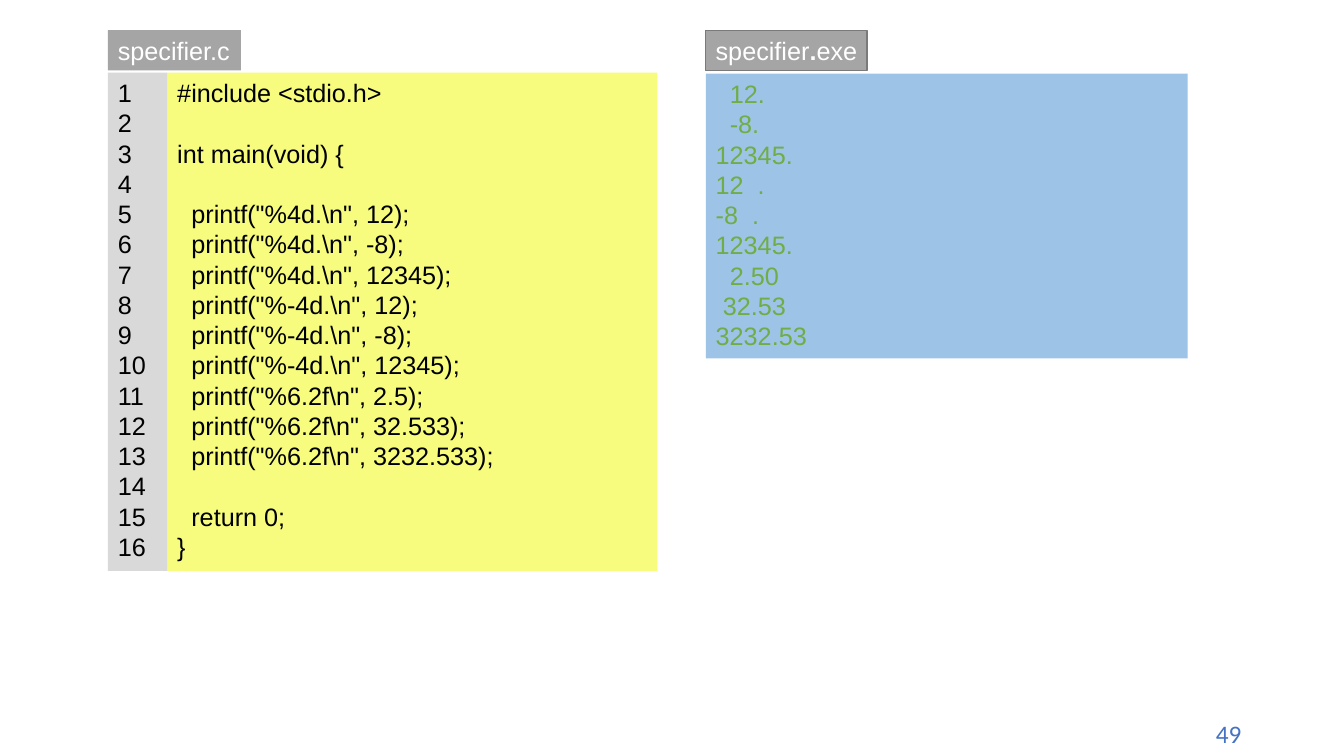
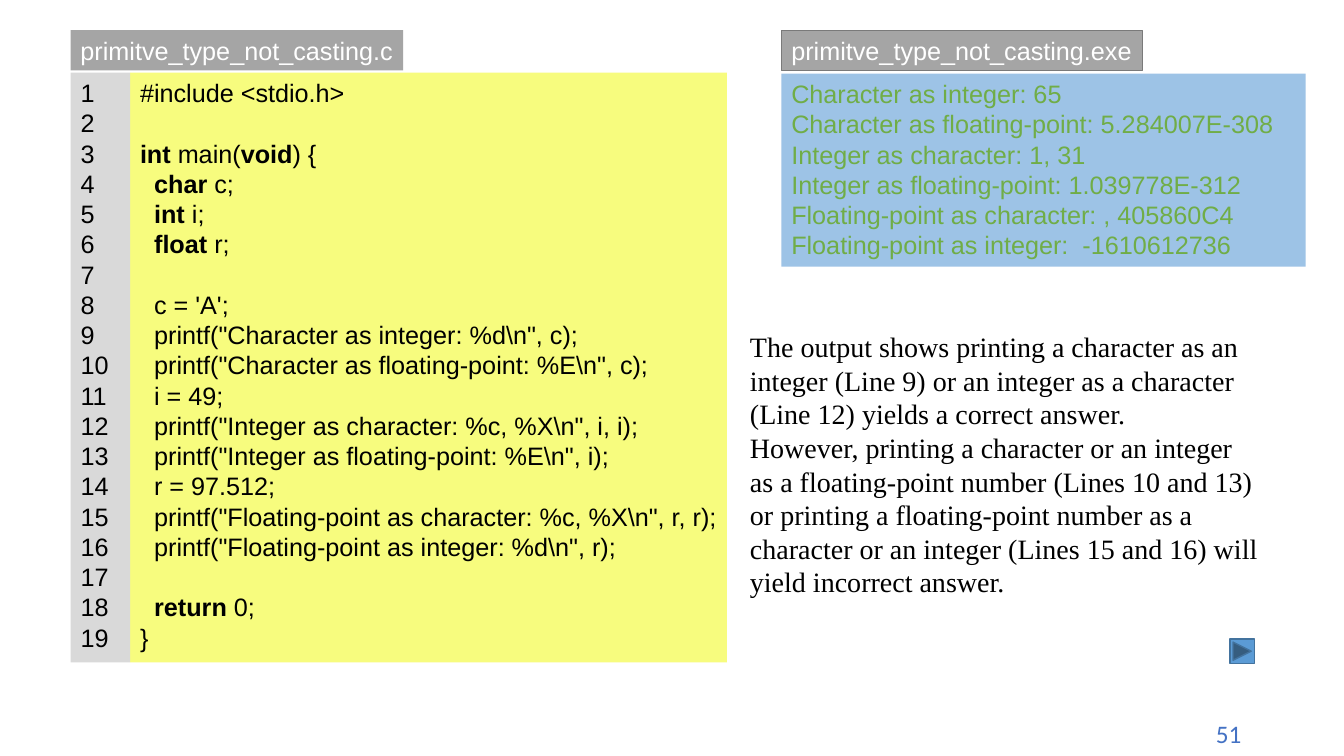
from pptx import Presentation
from pptx.dml.color import RGBColor
from pptx.enum.shapes import MSO_SHAPE
from pptx.enum.text import MSO_ANCHOR, PP_ALIGN
from pptx.util import Inches, Pt

RECT = MSO_SHAPE.RECTANGLE
NEXT_BUTTON = MSO_SHAPE.ACTION_BUTTON_FORWARD_OR_NEXT
TOP = MSO_ANCHOR.TOP
LEFT, RIGHT = PP_ALIGN.LEFT, PP_ALIGN.RIGHT

COLORS = {
    "tab": "A5A5A5", "tab_line": "7A7A7A", "tab_text": "FFFFFF",
    "code": "F7FC7E", "gutter": "D9D9D9", "ink": "000000",
    "output": "9DC3E6", "output_text": "70AD47", "number": "4472C4",
    "button": "5B9BD5", "button_line": "43739E",
}

# Content: ** marks bold, leading spaces set the indent
SLIDES = [
    {
        "number": 49,
        "source": {"name": "specifier.c", "left": 1.07, "tab": 1.32, "code": 4.86},
        "program": {"name": "specifier**.**exe", "left": 7, "tab": 1.6, "width": 4.78},
        "code": r"""#include <stdio.h>

int main(void) {

  printf("%4d.\n", 12);
  printf("%4d.\n", -8);
  printf("%4d.\n", 12345);
  printf("%-4d.\n", 12);
  printf("%-4d.\n", -8);
  printf("%-4d.\n", 12345);
  printf("%6.2f\n", 2.5);
  printf("%6.2f\n", 32.533);
  printf("%6.2f\n", 3232.533);

  return 0;
}""".split("\n"),
        "output": ["  12.", "  -8.", "12345.", "12  .", "-8  .", "12345.",
                   "  2.50", " 32.53", "3232.53"],
        "remark": [],
    },
    {
        "number": 51,
        "source": {"name": "primitve_type_not_casting.c", "left": 0.7, "tab": 3.3,
                   "code": 5.92},
        "program": {"name": "primitve_type_not_casting.exe", "left": 7.75, "tab": 3.58,
                    "width": 5.2},
        "code": r"""#include <stdio.h>

**int **main(**void**) {
  **char **c;
  **int **i;
  **float **r;

  c = 'A';
  printf("Character as integer: %d\n", c);
  printf("Character as floating-point: %E\n", c);
  i = 49;
  printf("Integer as character: %c, %X\n", i, i);
  printf("Integer as floating-point: %E\n", i);
  r = 97.512;
  printf("Floating-point as character: %c, %X\n", r, r);
  printf("Floating-point as integer: %d\n", r);

  **return **0;
}""".split("\n"),
        "output": [
            "Character as integer: 65",
            "Character as floating-point: 5.284007E-308",
            "Integer as character: 1, 31",
            "Integer as floating-point: 1.039778E-312",
            "Floating-point as character: , 405860C4",
            "Floating-point as integer:  -1610612736",
        ],
        "remark": [
            "The output shows printing a character as an",
            "integer (Line 9) or an integer as a character",
            "(Line 12) yields a correct answer.",
            "However, printing a character or an integer",
            "as a floating-point number (Lines 10 and 13)",
            "or printing a floating-point number as a",
            "character or an integer (Lines 15 and 16) will",
            "yield incorrect answer.",
        ],
    },
]

# Shared measures, in inches
TAB_TOP, TAB_HEIGHT = 0.3, 0.4
CODE_TOP, OUTPUT_TOP = 0.72, 0.73
GUTTER = 0.59
SPACE_WIDTH = 0.07
LINE_RATIO = 1.2


def rgb(name):
    return RGBColor.from_string(COLORS[name])


def panel_height(lines):
    return 0.1 + 21.8 / 72 * len(lines)


def write(sp, lines, color, size=18, font="Arial", align=LEFT):
    """Write one paragraph per line; an empty line becomes space before the next."""
    tf = sp.text_frame
    tf.word_wrap = True
    tf.vertical_anchor = TOP
    tf.margin_right = Inches(0.1 if align == RIGHT else 0)
    pitch = Pt(size * LINE_RATIO)
    p, skipped = None, 0
    for line in lines:
        text = line.lstrip()
        if not text:
            skipped += 1
            continue
        p = tf.add_paragraph() if p is not None else tf.paragraphs[0]
        p.alignment = align
        p.line_spacing = pitch
        p.space_before = skipped * pitch
        skipped = 0
        p.font.size, p.font.name = Pt(size), font
        p.font.color.rgb = rgb(color)
        indent = len(line) - len(text)
        if indent:
            p._p.get_or_add_pPr().set("marL", str(Inches(indent * SPACE_WIDTH)))
        for i, part in enumerate(text.split("**")):
            if part:
                r = p.add_run()
                r.text = part
                if i % 2:
                    r.font.bold = True


def add_box(shapes, box, fill, line=None, kind=RECT):
    sp = shapes.add_shape(kind, *map(Inches, box))
    sp.shadow.inherit = False
    sp.fill.solid()
    sp.fill.fore_color.rgb = rgb(fill)
    if line:
        sp.line.color.rgb = rgb(line)
        sp.line.width = Pt(1)
    else:
        sp.line.fill.background()
    return sp


def add_text(shapes, box, *args, **style):
    write(shapes.add_textbox(*map(Inches, box)), *args, **style)


def add_tab(shapes, file, line=None):
    box = (file["left"], TAB_TOP, file["tab"], TAB_HEIGHT)
    write(add_box(shapes, box, "tab", line), [file["name"]], "tab_text")


def add_listing(shapes, file, code):
    """Group the code panel with its line numbers."""
    group = shapes.add_group_shape().shapes
    left, height = file["left"], panel_height(code)
    sp = add_box(group, (left + GUTTER, CODE_TOP, file["code"], height), "code")
    write(sp, code, "ink")
    sp = add_box(group, (left, CODE_TOP, GUTTER, height), "gutter")
    write(sp, [str(n) for n in range(1, len(code) + 1)], "ink")


def build_slide(prs, data):
    shapes = prs.slides.add_slide(prs.slide_layouts[6]).shapes
    source, program, output = data["source"], data["program"], data["output"]

    # Page number
    add_text(shapes, (10.84, 7.08, 1.57, 0.4), [str(data["number"])], "number",
             font="Calibri", align=RIGHT)

    # Source file and program output
    add_tab(shapes, source)
    box = (program["left"], OUTPUT_TOP, program["width"], panel_height(output))
    write(add_box(shapes, box, "output"), output, "output_text")
    add_tab(shapes, program, "tab_line")
    add_listing(shapes, source, data["code"])

    # Remark with the button to the next slide
    if data["remark"]:
        add_text(shapes, (7.34, 3.22, 5.3, 2.79), data["remark"], "ink",
                 size=20, font="Times New Roman")
        add_box(shapes, (12.2, 6.34, 0.24, 0.24), "button", "button_line", NEXT_BUTTON)


def main():
    prs = Presentation()
    prs.slide_width, prs.slide_height = Inches(13.33), Inches(7.5)
    for data in SLIDES:
        build_slide(prs, data)
    prs.save("out.pptx")


if __name__ == "__main__":
    main()
